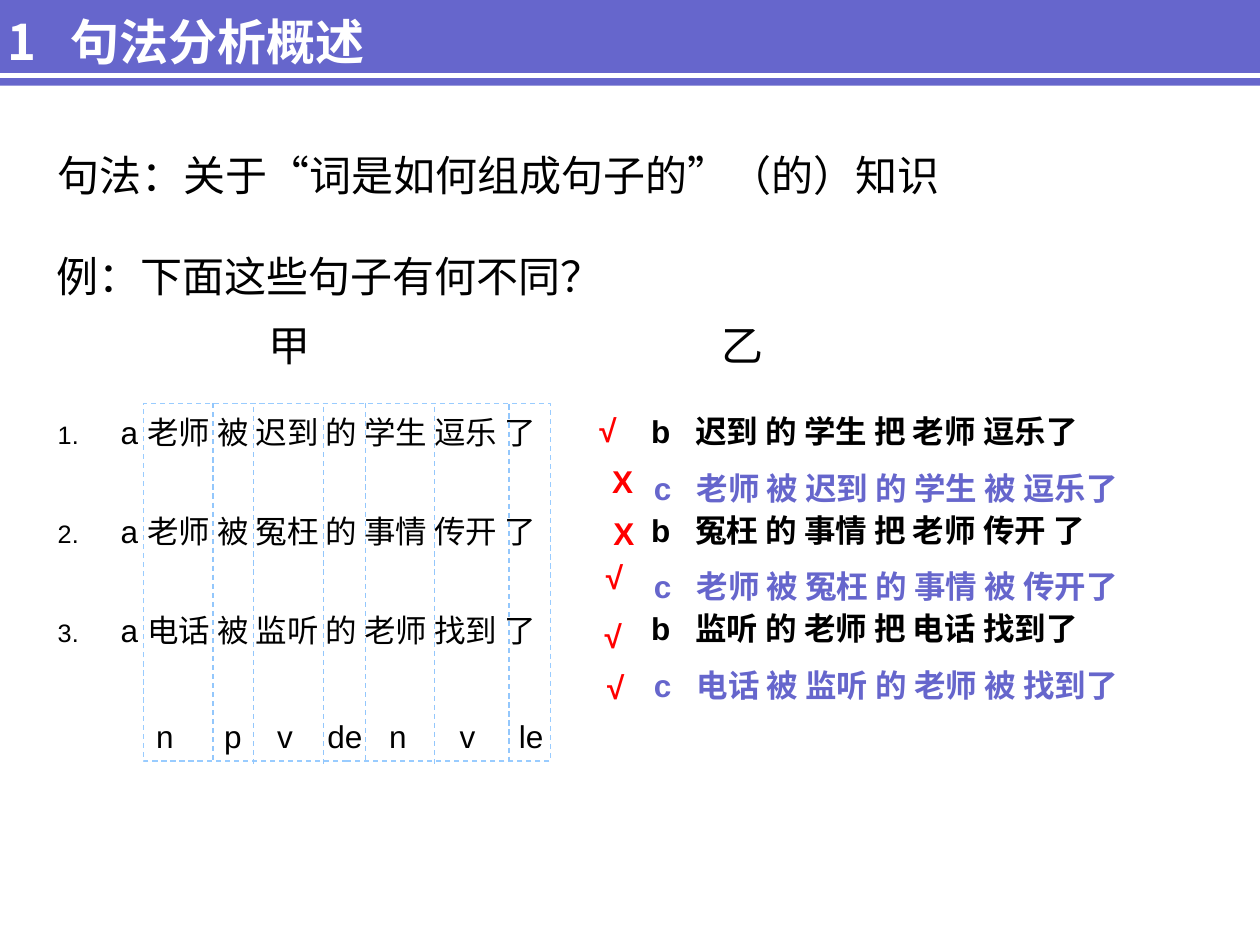
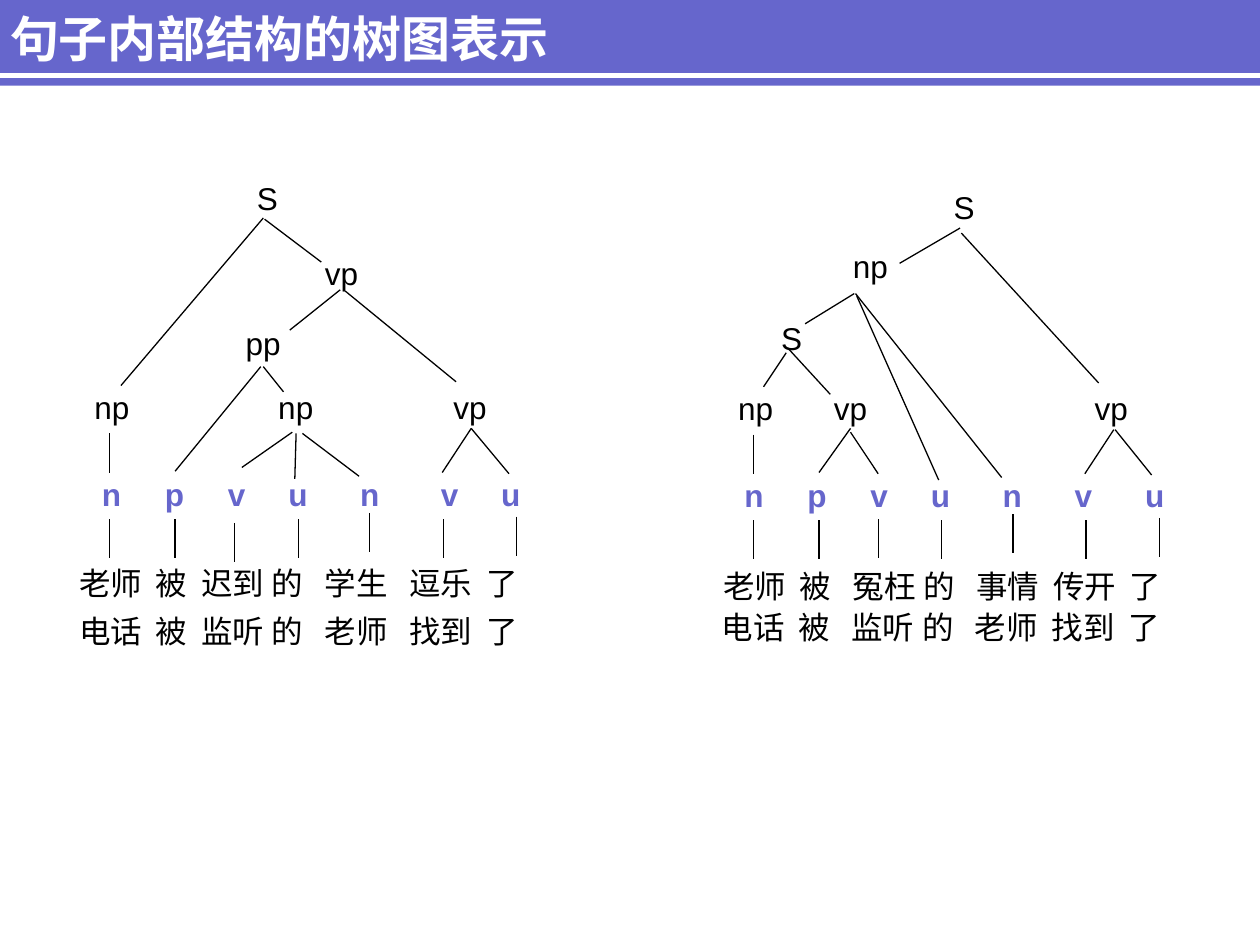
"""Build two slides on Chinese syntax: sentence patterns and their parse trees."""
from lxml.etree import SubElement
from pptx import Presentation
from pptx.dml.color import RGBColor
from pptx.enum.dml import MSO_LINE
from pptx.enum.shapes import MSO_CONNECTOR, MSO_SHAPE
from pptx.enum.text import MSO_ANCHOR, MSO_AUTO_SIZE, PP_ALIGN
from pptx.oxml.ns import qn
from pptx.util import Inches, Pt

VIOLET = RGBColor(0x66, 0x66, 0xCC)
WHITE = RGBColor(0xFF, 0xFF, 0xFF)
BLACK = RGBColor(0, 0, 0)
RED = RGBColor(0xFF, 0, 0)
FRAME_BLUE = RGBColor(0x99, 0xCC, 0xFF)
DIVIDER_BLUE = RGBColor(0x93, 0xC7, 0xFC)

TITLE_FONT = "Noto Sans CJK SC"
BODY_FONT = "Arial"
PLAIN = {}
SPACED = {"space_before": Pt(12), "space_after": Pt(12)}
OPEN = {**SPACED, "line_spacing": 1.5}

A_SENTENCES = [
    "a 老师 被 迟到 的 学生 逗乐 了",
    "a 老师 被 冤枉 的 事情 传开 了",
    "a 电话 被 监听 的 老师 找到 了",
]
B_SENTENCES = [
    "b\t迟到 的 学生 把 老师 逗乐了",
    "b\t冤枉 的 事情 把 老师 传开 了",
    "b\t监听 的 老师 把 电话 找到了",
]
C_SENTENCES = [
    "c\t老师 被 迟到 的 学生 被 逗乐了",
    "c\t老师 被 冤枉 的 事情 被 传开了",
    "c\t电话 被 监听 的 老师 被 找到了",
]
VERDICTS = [
    ("√", 4.66, 3.21), ("X", 4.76, 3.62), ("X", 4.77, 4.03),
    ("√", 4.71, 4.38), ("√", 4.7, 4.85), ("√", 4.72, 5.25),
]
DIVIDERS = [(1.69, 3.2), (2.01, 3.23), (2.57, 3.23), (2.9, 3.2), (3.45, 3.23), (4.04, 3.21)]

LEFT_TREE = {
    "nodes": [("S", 1.94, 1.22), ("vp", 2.48, 1.82), ("pp", 1.85, 2.37)],
    "rows": [
        ("np np vp", [0.75, 2.21, 3.6], 2.88, OPEN, {}),
        ("n p v u n v u", [0.81, 1.31, 1.81, 2.29, 2.86, 3.5, 3.98], 3.57, OPEN,
         {"color": VIOLET, "bold": True}),
        ("老师 被 迟到 的 学生 逗乐 了", [0.63, 1.24, 1.6, 2.16, 2.58, 3.25, 3.86], 4.28, OPEN, {}),
        ("电话 被 监听 的 老师 找到 了", [0.63, 1.24, 1.6, 2.16, 2.58, 3.25, 3.86], 4.81, PLAIN, {}),
    ],
    "stems": [(0.87, 3.44), (0.87, 4.12), (1.39, 4.12), (1.86, 4.15), (2.37, 4.12),
              (2.93, 4.07), (3.52, 4.12), (4.1, 4.1)],
    "branches": [
        (2.09, 1.73, 0.96, 3.06), (2.1, 1.74, 2.55, 2.08),
        (2.7, 2.3, 2.3, 2.62), (2.74, 2.31, 3.62, 3.03),
        (2.07, 2.91, 1.39, 3.74), (2.09, 2.91, 2.25, 3.11),
        (2.32, 3.43, 1.92, 3.71), (2.35, 3.44, 2.34, 3.8), (2.4, 3.44, 2.85, 3.78),
        (3.74, 3.4, 3.51, 3.75), (3.74, 3.4, 4.04, 3.76),
    ],
}
RIGHT_TREE = {
    "nodes": [("S", 7.47, 1.29), ("S", 6.1, 2.33)],
    "rows": [
        ("np", [6.77], 1.91, PLAIN, {}),
        ("np vp vp", [5.86, 6.62, 8.69], 2.89, OPEN, {}),
        ("n p v u n v u", [5.91, 6.41, 6.91, 7.39, 7.96, 8.53, 9.09], 3.58, OPEN,
         {"color": VIOLET, "bold": True}),
        ("老师 被 冤枉 的 事情 传开 了", [5.74, 6.35, 6.77, 7.33, 7.75, 8.36, 8.97], 4.3, OPEN, {}),
        ("电话 被 监听 的 老师 找到 了", [5.73, 6.34, 6.76, 7.32, 7.74, 8.35, 8.96], 4.78, PLAIN, {}),
    ],
    "stems": [(5.98, 3.45), (5.98, 4.13), (6.5, 4.13), (6.97, 4.12), (7.47, 4.13),
              (8.04, 4.08), (8.62, 4.13), (9.2, 4.11)],
    "branches": [
        (7.62, 1.81, 7.14, 2.09), (7.63, 1.85, 8.72, 3.04),
        (6.78, 2.33, 6.39, 2.57), (6.8, 2.35, 7.45, 3.81), (6.79, 2.33, 7.95, 3.79),
        (6.24, 2.8, 6.06, 3.07), (6.25, 2.76, 6.59, 3.13),
        (6.75, 3.4, 6.5, 3.75), (6.75, 3.43, 6.97, 3.76),
        (8.84, 3.41, 8.61, 3.76), (8.85, 3.41, 9.14, 3.77),
    ],
}


class Deck:
    def __init__(self):
        self.presentation = Presentation()
        self.presentation.slide_width = Inches(10)
        self.presentation.slide_height = Inches(7.5)
        self.layout = self.presentation.slide_layouts.get_by_name("Title Only")
        self.slide = None

    def add_slide(self, title, left, top, width, height, stops=()):
        first = self.slide is None
        self.slide = self.presentation.slides.add_slide(self.layout)
        if first:
            self.band()
        shape = self.slide.shapes.title
        places = {"left": left, "top": top, "width": width, "height": height}
        for name, value in places.items():
            setattr(shape, name, Inches(value))
        frame = shape.text_frame
        frame.auto_size = MSO_AUTO_SIZE.NONE
        frame.vertical_anchor = MSO_ANCHOR.MIDDLE
        paragraph = frame.paragraphs[0]
        paragraph.alignment = PP_ALIGN.LEFT
        self.tabs(paragraph, stops)
        run = self.run(paragraph, title, size=28, color=WHITE, bold=True, name=TITLE_FONT)
        SubElement(run.font._element, qn("a:ea"), typeface=TITLE_FONT)

    def band(self):
        band = self.box(-0.04, -0.03, 10.04, 0.71)
        band.fill.solid()
        band.fill.fore_color.rgb = VIOLET
        band.line.fill.background()
        stripe = self.line(-0.04, 0.6, 10, 0.6, WHITE, 3)
        for shape in (band, stripe):
            self.layout.shapes.element.append(shape.element)

    def box(self, left, top, width, height):
        shape = self.slide.shapes.add_shape(
            MSO_SHAPE.RECTANGLE, Inches(left), Inches(top), Inches(width), Inches(height))
        shape.shadow.inherit = False
        return shape

    def dashed_frame(self, left, top, width, height):
        shape = self.box(left, top, width, height)
        shape.fill.background()
        shape.line.color.rgb = FRAME_BLUE
        shape.line.width = Pt(0.75)
        shape.line.dash_style = MSO_LINE.DASH

    def line(self, x1, y1, x2, y2, color=BLACK, width=0.75, dash=None):
        connector = self.slide.shapes.add_connector(
            MSO_CONNECTOR.STRAIGHT, Inches(x1), Inches(y1), Inches(x2), Inches(y2))
        connector.line.color.rgb = color
        connector.line.width = Pt(width)
        connector.line.dash_style = dash
        SubElement(connector.element.spPr, qn("a:effectLst"))
        return connector

    def tabs(self, paragraph, stops):
        if stops:
            tab_list = SubElement(paragraph._p.get_or_add_pPr(), qn("a:tabLst"))
            for stop in stops:
                SubElement(tab_list, qn("a:tab"), pos=str(Inches(stop)), algn="l")

    def number(self, paragraph):
        properties = paragraph._p.get_or_add_pPr()
        properties.set("marL", str(Inches(0.5)))
        properties.set("indent", str(Inches(-0.5)))
        color = SubElement(properties, qn("a:buClr"))
        SubElement(color, qn("a:srgbClr"), val=str(BLACK))
        SubElement(properties, qn("a:buSzPct"), val="80000")
        SubElement(properties, qn("a:buAutoNum"), type="arabicPeriod")

    def run(self, paragraph, text, size=18, color=BLACK, bold=False, name=BODY_FONT):
        run = paragraph.add_run()
        run.text = text
        for key, value in {"size": Pt(size), "bold": bold, "name": name}.items():
            setattr(run.font, key, value)
        run.font.color.rgb = color
        return run

    def text(self, lines, left, top, width, height, spacing=PLAIN, stops=(), numbered=False, **font):
        shape = self.slide.shapes.add_textbox(
            Inches(left), Inches(top), Inches(width), Inches(height))
        frame = shape.text_frame
        frame.word_wrap = True
        frame.auto_size = MSO_AUTO_SIZE.SHAPE_TO_FIT_TEXT
        for index, line in enumerate(lines):
            paragraph = frame.add_paragraph() if index else frame.paragraphs[0]
            if numbered:
                self.number(paragraph)
            self.tabs(paragraph, stops)
            for name, value in spacing.items():
                if index or name != "space_before":
                    setattr(paragraph, name, value)
            self.run(paragraph, line, **font)

    def row(self, words, starts, top, spacing=PLAIN, **font):
        first, last = starts[0], starts[-1]
        height = 0.55 if spacing is OPEN else 0.4
        self.text(["\t".join(words.split())], first - 0.1, top, last - first + 0.7, height,
                  spacing, [start - first for start in starts[1:]], **font)

    def tree(self, nodes, rows, stems, branches):
        for label, left, top in nodes:
            self.text([label], left, top, 0.62, 0.55, OPEN)
        for words, starts, top, spacing, font in rows:
            self.row(words, starts, top, spacing, **font)
        for x, top in stems:
            self.line(x, top, x, top + 0.31)
        for branch in branches:
            self.line(*branch)


def add_overview(deck):
    deck.add_slide("1\t句法分析概述", -0.04, 0.04, 8.77, 0.57, stops=[0.5])
    deck.text(A_SENTENCES, 0.36, 3.08, 4.51, 2.12, OPEN, numbered=True)
    deck.text(["句法：关于“词是如何组成句子的”（的）知识"], 0.36, 1.14, 8.04, 0.5, SPACED, size=24)
    deck.text(["例：下面这些句子有何不同？"], 0.35, 1.94, 7.03, 0.5, SPACED, size=24)
    deck.row("甲 乙", [2.13, 5.73], 2.49, SPACED, size=24)
    deck.text(B_SENTENCES, 5.07, 3.07, 4.69, 2.12, OPEN, [0.35], bold=True)
    deck.text(C_SENTENCES, 5.09, 3.52, 4.55, 2.12, OPEN, [0.34], color=VIOLET, bold=True)
    for mark, left, top in VERDICTS:
        deck.text([mark], left, top, 0.5, 0.4, color=RED, bold=True)
    deck.row("n p v de n v le", [1.24, 1.78, 2.2, 2.6, 3.09, 3.65, 4.12], 5.64)
    deck.dashed_frame(1.14, 3.2, 3.23, 2.84)
    for x, top in DIVIDERS:
        deck.line(x, top, x, top + 2.83, DIVIDER_BLUE, dash=MSO_LINE.DASH)


def add_trees(deck):
    deck.add_slide("句子内部结构的树图表示", -0.02, -0.02, 8.25, 0.64)
    for tree in (LEFT_TREE, RIGHT_TREE):
        deck.tree(**tree)


def main():
    deck = Deck()
    add_overview(deck)
    add_trees(deck)
    deck.presentation.save("out.pptx")


if __name__ == "__main__":
    main()
